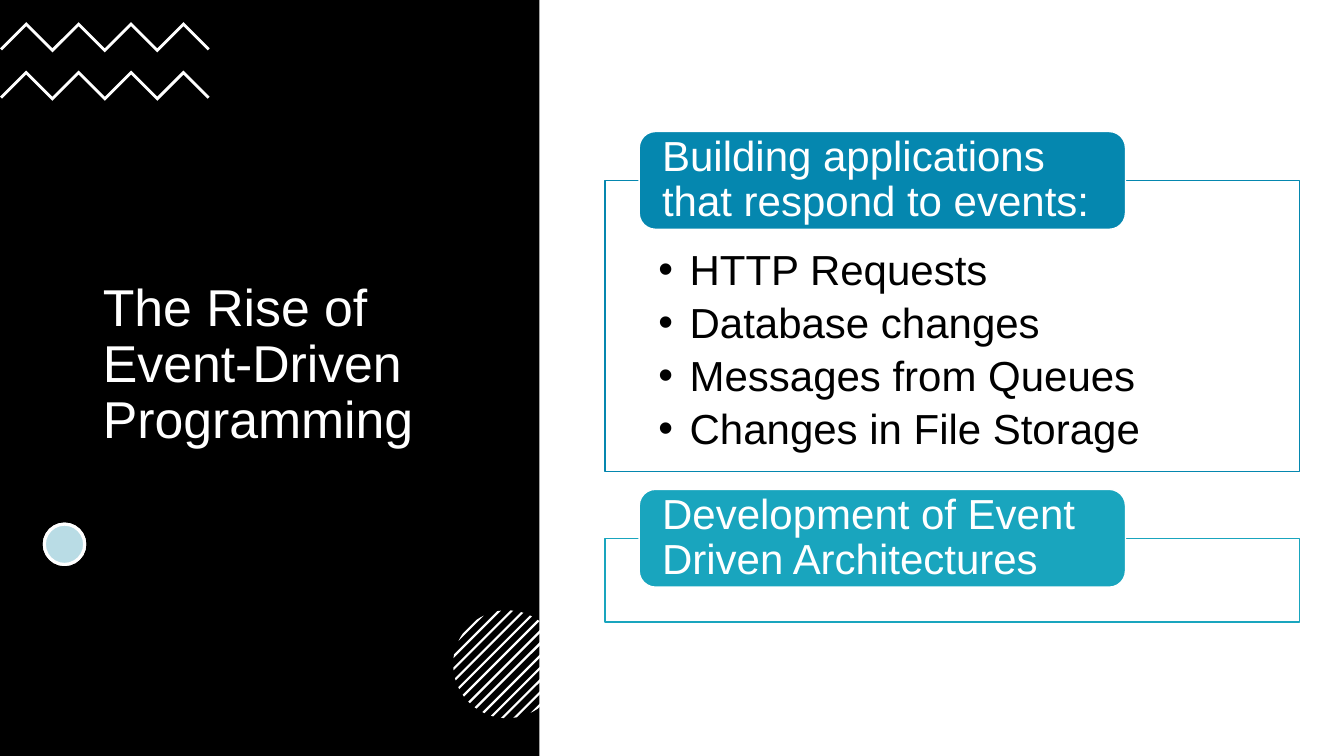
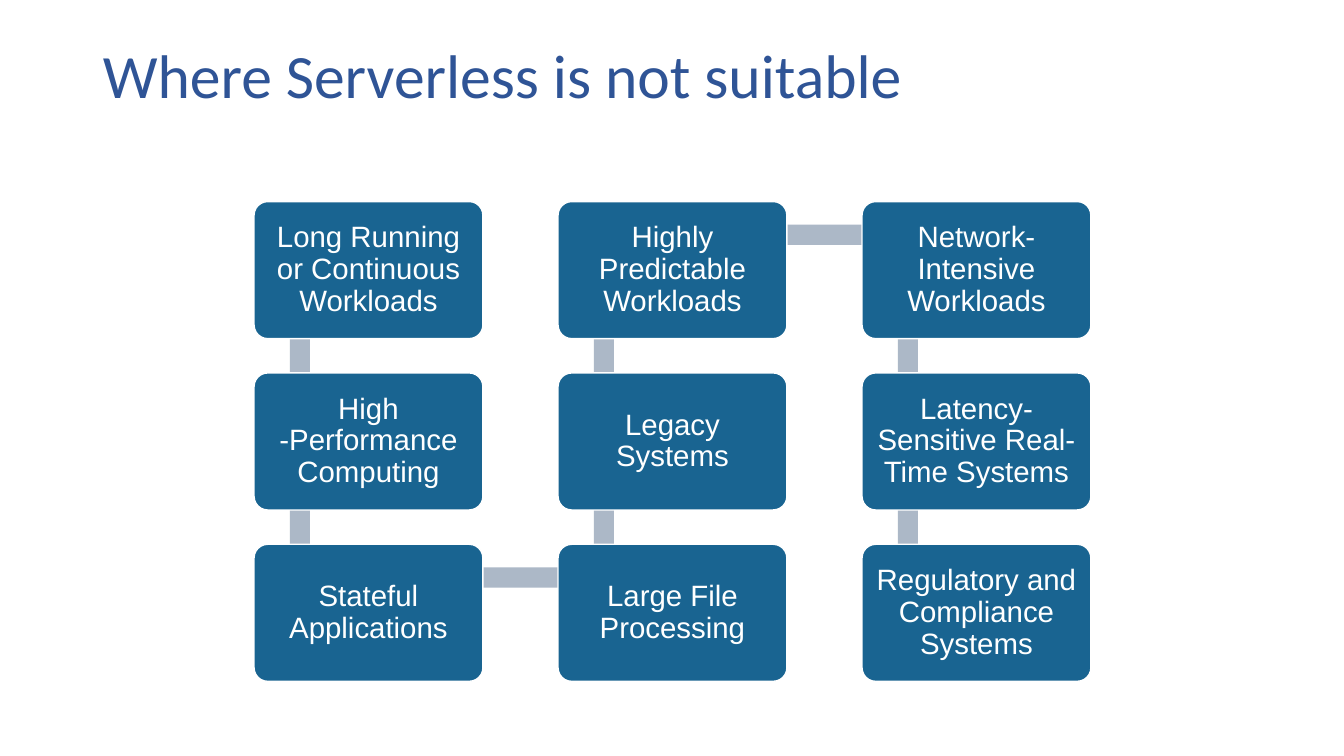
import math

from lxml import etree
from pptx import Presentation
from pptx.dml.color import RGBColor
from pptx.enum.shapes import MSO_SHAPE
from pptx.enum.text import MSO_ANCHOR, MSO_AUTO_SIZE, PP_ALIGN
from pptx.oxml.ns import qn
from pptx.util import Inches, Pt

RECT, ROUND, OVAL = MSO_SHAPE.RECTANGLE, MSO_SHAPE.ROUNDED_RECTANGLE, MSO_SHAPE.OVAL
TOP, MIDDLE = MSO_ANCHOR.TOP, MSO_ANCHOR.MIDDLE
LEFT, CENTER = PP_ALIGN.LEFT, PP_ALIGN.CENTER
NO_FIT = MSO_AUTO_SIZE.NONE

COLORS = {
    "black": "000000", "white": "FFFFFF", "title": "2F5496", "dot": "1A8EA9",
    "blue": "0587AF", "teal": "19A5BE", "node": "196491", "bar": "ACB8C7",
}
TITLE_ONLY = 5
UNITS = 1000  # outline units per inch

EVENTS = [
    "HTTP Requests", "Database changes", "Messages from Queues",
    "Changes in File Storage",
]
WORKLOADS = [
    "Long Running or Continuous Workloads", "High -Performance Computing",
    "Stateful Applications", "Large File Processing", "Legacy Systems",
    "Highly Predictable Workloads", "Network-Intensive Workloads",
    "Latency-Sensitive Real-Time Systems", "Regulatory and Compliance Systems",
]


def rgb(name):
    return RGBColor.from_string(COLORS[name])


def paint(sp, fill, line=None, width=1, alpha=None):
    """Set fill and outline; alpha is the fill opacity in percent."""
    sp.shadow.inherit = False
    sp.fill.solid()
    sp.fill.fore_color.rgb = rgb(fill)
    if alpha is not None:
        color = sp.element.spPr.find(qn("a:solidFill"))[0]
        etree.SubElement(color, qn("a:alpha"), val=str(alpha * 1000))
    if line:
        sp.line.color.rgb = rgb(line)
        sp.line.width = Pt(width)
    else:
        sp.line.fill.background()


def add_box(slide, kind, box, fill, **style):
    sp = slide.shapes.add_shape(kind, *map(Inches, box))
    paint(sp, fill, **style)
    return sp


def add_outline(slide, points, fill):
    pts = [(x * UNITS, y * UNITS) for x, y in points]
    builder = slide.shapes.build_freeform(*pts[0], scale=Inches(1) / UNITS)
    builder.add_line_segments(pts[1:], close=True)
    paint(builder.convert_to_shape(), fill)


def write(sp, lines, size, color, font="Arial", align=LEFT, anchor=MIDDLE,
          insets=(0.1, 0.05, 0.1, 0.05), after=0, bullet_indent=None):
    tf = sp.text_frame
    left, top, right, bottom = map(Inches, insets)
    frame = {
        "word_wrap": True, "auto_size": NO_FIT, "vertical_anchor": anchor,
        "margin_left": left, "margin_top": top,
        "margin_right": right, "margin_bottom": bottom,
    }
    for name, value in frame.items():
        setattr(tf, name, value)
    for i, line in enumerate(lines):
        p = tf.paragraphs[0] if i == 0 else tf.add_paragraph()
        p.alignment, p.line_spacing, p.space_after = align, 0.9, Pt(after)
        r = p.add_run()
        r.text = line
        r.font.name, r.font.size = font, Pt(size)
        r.font.color.rgb = rgb(color)
        if bullet_indent:
            pPr = p._p.get_or_add_pPr()
            pPr.set("marL", str(Inches(bullet_indent)))
            pPr.set("indent", str(-Inches(bullet_indent)))
            etree.SubElement(pPr, qn("a:buFont"), typeface="Arial")
            etree.SubElement(pPr, qn("a:buChar"), char="•")


def add_titled_slide(prs, title, box, **style):
    slide = prs.slides.add_slide(prs.slide_layouts[TITLE_ONLY])
    sp = slide.shapes.title
    sp.left, sp.top, sp.width, sp.height = map(Inches, box)
    write(sp, [title], **style)
    return slide


def add_zigzag(slide, x, y, steps=8, step=0.26, rise=0.26, thick=0.04):
    upper = [(x + i * step, y + rise * (1 - i % 2)) for i in range(steps + 1)]
    lower = [(px, py + thick) for px, py in reversed(upper)]
    lower[0] = (lower[0][0] - thick / 2, lower[0][1] - thick / 2)
    lower[-1] = (lower[-1][0] + thick / 2, lower[-1][1] - thick / 2)
    add_outline(slide, upper + lower, "white")


def add_striped_disc(slide, cx, cy, radius, side=6, pitch=0.086, thick=0.022):
    """Diagonal stripes cut off by a circle, with `side` stripes on each half."""
    diag = math.sqrt(0.5)
    for k in range(-side, side + 1):
        ends = {1: [], -1: []}
        for step in range(5):
            d = k * pitch + thick * (step / 4 - 0.5)
            d = max(-radius, min(radius, d))
            half = math.sqrt(radius ** 2 - d ** 2)
            for sign, pts in ends.items():
                pts.append((cx + diag * (d + sign * half),
                            cy + diag * (d - sign * half)))
        add_outline(slide, ends[1] + ends[-1][::-1], "white")


def add_side_panel(slide, x, y, w, h):
    panel = add_box(slide, RECT, (x, y, w, h), "black")
    slide.shapes.element.insert(2, panel.element)  # behind the title
    for top in (0.22, 0.7):
        add_zigzag(slide, x, y + top)
    dot = (x + 0.44, y + 5.2, 0.4, 0.4)
    add_box(slide, OVAL, dot, "white", line="white", width=2.25)
    add_box(slide, OVAL, dot, "dot", line="white", width=2.25, alpha=30)
    add_striped_disc(slide, x + w - 0.32, y + 6.59, 0.535)


def add_topic(slide, x, y, w, h, heading, color, items=()):
    """A framed list with a heading tab across its top edge."""
    frame = add_box(slide, RECT, (x, y, w, h), "white", line=color)
    if items:
        write(frame, items, 30, "black", anchor=TOP, after=5.5,
              insets=(0.53, 0.68, 0.53, 0.23), bullet_indent=0.31)
    tab_h = 0.97
    tab = add_box(slide, ROUND, (x + 0.34, y - tab_h / 2, w * 0.7, tab_h),
                  color, line="white")
    write(tab, [heading], 30, "white", insets=(0.18, 0, 0.18, 0))


def add_snake(slide, x, y, labels, rows=3):
    """Nodes running down and up successive columns, joined by bars."""
    w, h, pitch_x, pitch_y, thick = 2.27, 1.36, 3.015, 1.7, 0.2
    corners = []
    for i in range(len(labels)):
        col, row = divmod(i, rows)
        row = rows - 1 - row if col % 2 else row
        corners.append((x + col * pitch_x, y + row * pitch_y))
    for (x1, y1), (x2, y2) in zip(corners, corners[1:]):
        left, top = min(x1, x2) + 0.455, min(y1, y2) + 0.33
        if x1 == x2:
            bar = (left - thick / 2, top, thick, pitch_y)
        else:
            bar = (left, top - thick / 2, pitch_x, thick)
        add_box(slide, RECT, bar, "bar")
    for (left, top), label in zip(corners, labels):
        node = add_box(slide, ROUND, (left, top, w, h), "node", line="white")
        node.adjustments[0] = 0.1
        write(node, [label], 21, "white", align=CENTER, insets=(0.09,) * 4)


def build_events_slide(prs):
    slide = add_titled_slide(
        prs, "The Rise of Event-Driven Programming", (0.92, 1.31, 3.5, 4.63),
        size=37, color="white")
    add_side_panel(slide, 0, 0, 5.35, 7.5)
    add_topic(slide, 6, 1.79, 6.89, 2.89,
              "Building applications that respond to events:", "blue", EVENTS)
    add_topic(slide, 6, 5.34, 6.89, 0.83,
              "Development of Event Driven Architectures", "teal")


def build_limits_slide(prs):
    slide = add_titled_slide(
        prs, "Where Serverless is not suitable", (0.92, 0.4, 11.5, 1.45),
        size=44, color="title", font="Calibri", anchor=TOP)
    add_snake(slide, 2.52, 2, WORKLOADS)


def main():
    prs = Presentation()
    prs.slide_width, prs.slide_height = Inches(13.33), Inches(7.5)
    build_events_slide(prs)
    build_limits_slide(prs)
    prs.save("out.pptx")


if __name__ == "__main__":
    main()
